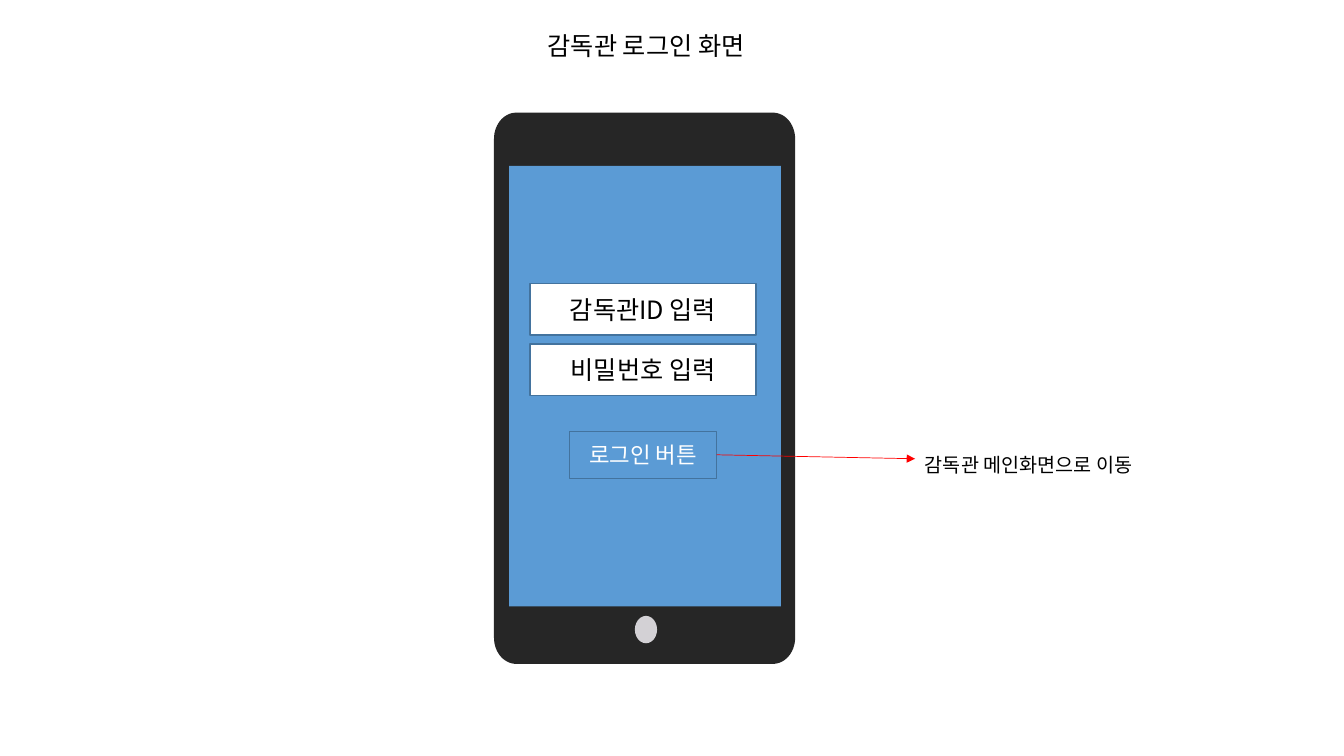
from math import cos, radians, sin
from lxml import etree
from pptx import Presentation
from pptx import util as u
from pptx.dml.color import RGBColor
from pptx.enum import shapes, text
from pptx.oxml import ns

theme = {
    "font": "Noto Sans CJK KR",
    "ink": "000000", "paper": "FFFFFF", "case": "262626", "screen": "5B9BD5",
    "home": "D3D1D5", "border": "43739E", "arrow": "FF0000",
    "heading": 18, "button": 16, "note": 14,
}


def write(box, words, size, color, align, anchor, wrap=True):
    frame = box.text_frame
    settings = {"word_wrap": wrap, "vertical_anchor": anchor,
                "auto_size": text.MSO_AUTO_SIZE.NONE,
                "margin_left": u.Cm(0.25), "margin_right": u.Cm(0.25),
                "margin_top": u.Cm(0.13), "margin_bottom": u.Cm(0.13)}
    for name, value in settings.items():
        setattr(frame, name, value)
    para = frame.paragraphs[0]
    para.alignment = align
    span = para.add_run()
    span.text = words
    for name, value in {"name": theme["font"], "size": u.Pt(theme[size]), "bold": False}.items():
        setattr(span.font, name, value)
    span.font.color.rgb = RGBColor.from_string(theme[color])
    etree.SubElement(span.font._element, ns.qn("a:ea"), typeface=theme["font"])


def paint(shape, fill, border=None):
    shape.shadow.inherit = False
    shape.fill.solid()
    shape.fill.fore_color.rgb = RGBColor.from_string(theme[fill])
    if border:
        shape.line.color.rgb = RGBColor.from_string(theme[border])
        shape.line.width = u.Pt(1)
    else:
        shape.line.fill.background()


deck = Presentation()
deck.slide_width, deck.slide_height = u.Cm(33.87), u.Cm(19.05)
page = deck.slides.add_slide(deck.slide_layouts[5])
center, left = text.PP_ALIGN.CENTER, text.PP_ALIGN.LEFT
middle, top = text.MSO_ANCHOR.MIDDLE, text.MSO_ANCHOR.TOP

title = page.shapes.title
for name, value in {"left": 8.51, "top": 0.64, "width": 15.54, "height": 1.02}.items():
    setattr(title, name, u.Cm(value))
write(title, "감독관 로그인 화면", "heading", "ink", center, top)

case_left, case_top, case_width, case_height = 12.45, 2.84, 7.59, 13.89
radius_x, radius_y = 0.56, 0.66
near_x, far_x = case_left + radius_x, case_left + case_width - radius_x
near_y, far_y = case_top + radius_y, case_top + case_height - radius_y
corners = [(far_x, far_y, 0), (near_x, far_y, 90), (near_x, near_y, 180), (far_x, near_y, 270)]
outline = [(u.Cm(x + radius_x * cos(radians(start + step))),
            u.Cm(y + radius_y * sin(radians(start + step))))
           for x, y, start in corners for step in range(0, 91, 6)]
builder = page.shapes.build_freeform(*outline[0])
builder.add_line_segments(outline[1:], close=True)
paint(builder.convert_to_shape(), "case")

rectangle, oval = shapes.MSO_SHAPE.RECTANGLE, shapes.MSO_SHAPE.OVAL
for kind, place, fill in [(rectangle, (12.83, 4.18, 6.85, 11.1), "screen"),
                          (oval, (16, 15.52, 0.56, 0.69), "home")]:
    paint(page.shapes.add_shape(kind, *map(u.Cm, place)), fill)

controls = [
    ("감독관ID 입력", (13.36, 7.14, 5.69, 1.3), "paper", "heading", "ink"),
    ("비밀번호 입력", (13.36, 8.67, 5.69, 1.3), "paper", "heading", "ink"),
    ("로그인 버튼", (14.35, 10.87, 3.71, 1.19), "screen", "button", "paper"),
]
for words, place, fill, size, color in controls:
    control = page.shapes.add_shape(rectangle, *map(u.Cm, place))
    paint(control, fill, "border")
    write(control, words, size, color, center, middle)

arrow = page.shapes.add_connector(shapes.MSO_CONNECTOR.STRAIGHT,
                                  *map(u.Cm, (18.06, 11.46, 23.06, 11.56)))
arrow.line.color.rgb = RGBColor.from_string(theme["arrow"])
arrow.line.width = u.Pt(0.5)
etree.SubElement(arrow.line._get_or_add_ln(), ns.qn("a:tailEnd"), type="triangle")
etree.SubElement(arrow._element.spPr, ns.qn("a:effectLst"))

note = page.shapes.add_textbox(*map(u.Cm, (23.06, 11.28, 7.06, 0.86)))
write(note, "감독관 메인화면으로 이동", "note", "ink", left, top)

deck.save("out.pptx")
